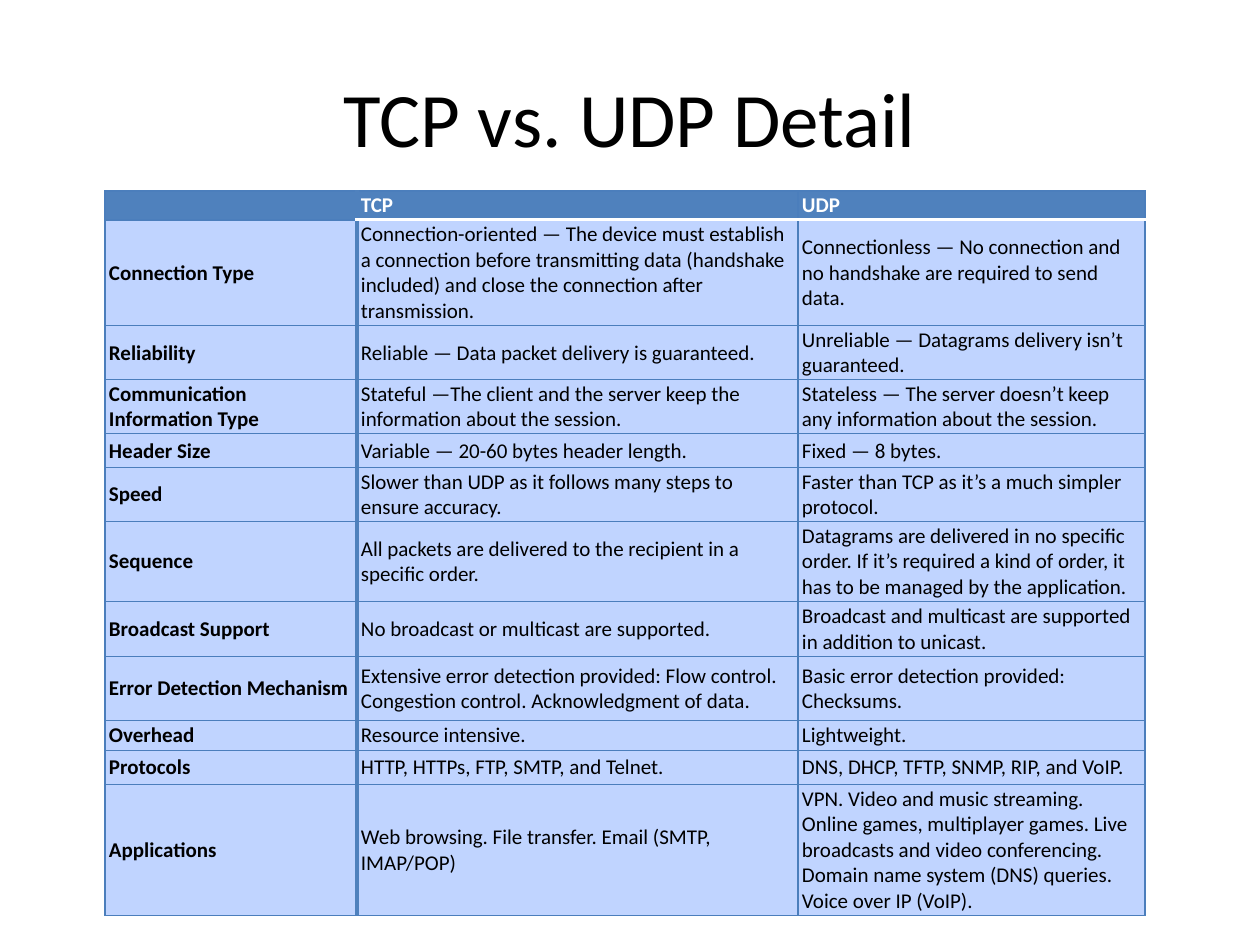
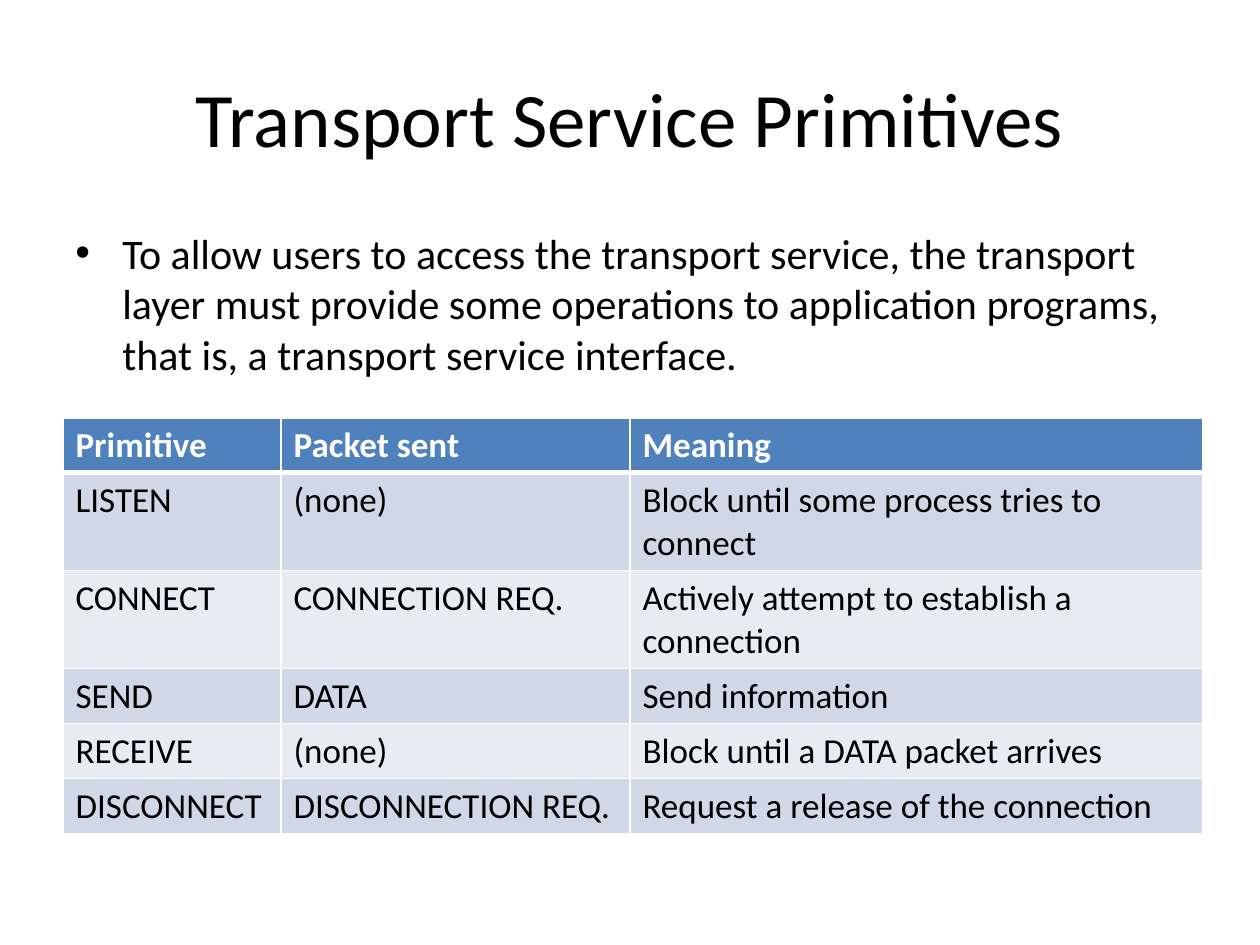
from lxml.etree import SubElement
from pptx import Presentation
from pptx.dml.color import RGBColor
from pptx.enum.text import MSO_ANCHOR, PP_ALIGN
from pptx.oxml.ns import qn
from pptx.util import Pt

PX = 914400 / 126
FONT = "Calibri"
COLORS = {
    "text": "000000",
    "white": "FFFFFF",
    "header": "4F81BD",
    "grid": "4B7EBC",
    "detail": "C0D4FF",
    "band_dark": "D0D7E7",
    "band_light": "E9EBF3",
}

DETAIL_TITLE = "TCP vs. UDP Detail"
DETAIL_ROWS = [
    ("", "TCP", "UDP"),
    ("Connection Type",
     "Connection-oriented — The device must establish a connection before transmitting data "
     "(handshake included) and close the connection after transmission.",
     "Connectionless — No connection and no handshake are required to send data."),
    ("Reliability",
     "Reliable — Data packet delivery is guaranteed.",
     "Unreliable — Datagrams delivery isn’t guaranteed."),
    ("Communication Information Type",
     "Stateful —The client and the server keep the information about the session.",
     "Stateless — The server doesn’t keep any information about the session."),
    ("Header Size",
     "Variable — 20-60 bytes header length.",
     "Fixed — 8 bytes."),
    ("Speed",
     "Slower than UDP as it follows many steps to ensure accuracy.",
     "Faster than TCP as it’s a much simpler protocol."),
    ("Sequence",
     "All packets are delivered to the recipient in a specific order.",
     "Datagrams are delivered in no specific order. If it’s required a kind of order, "
     "it has to be managed by the application."),
    ("Broadcast Support",
     "No broadcast or multicast are supported.",
     "Broadcast and multicast are supported in addition to unicast."),
    ("Error Detection Mechanism",
     "Extensive error detection provided: Flow control. Congestion control. "
     "Acknowledgment of data.",
     "Basic error detection provided: Checksums."),
    ("Overhead", "Resource intensive.", "Lightweight."),
    ("Protocols",
     "HTTP, HTTPs, FTP, SMTP, and Telnet.",
     "DNS, DHCP, TFTP, SNMP, RIP, and VoIP."),
    ("Applications",
     "Web browsing. File transfer. Email (SMTP, IMAP/POP)",
     "VPN. Video and music streaming. Online games, multiplayer games. Live broadcasts and "
     "video conferencing. Domain name system (DNS) queries. Voice over IP (VoIP)."),
]
DETAIL_COLUMNS = [252, 441, 347]
DETAIL_HEIGHTS = [29, 106, 54, 54, 34, 54, 80, 55, 64, 30, 34, 131]

PRIMITIVES_TITLE = "Transport Service Primitives"
PRIMITIVES_INTRO = (
    "To allow users to access the transport service, the transport layer must provide some "
    "operations to application programs, that is, a transport service interface."
)
PRIMITIVES_ROWS = [
    ("Primitive", "Packet sent", "Meaning"),
    ("LISTEN", "(none)", "Block until some process tries to connect"),
    ("CONNECT", "CONNECTION REQ.", "Actively attempt to establish a connection"),
    ("SEND", "DATA", "Send information"),
    ("RECEIVE", "(none)", "Block until a DATA packet arrives"),
    ("DISCONNECT", "DISCONNECTION REQ.", "Request a release of the connection"),
]
PRIMITIVES_COLUMNS = [218, 349, 573]
PRIMITIVES_HEIGHTS = [54, 98, 98, 55, 55, 55]


def px(length):
    return round(length * PX)


def color(name):
    return RGBColor.from_string(COLORS[name])


def add_text(paragraph, text, size, color_name="text", bold=False):
    run = paragraph.add_run()
    run.text = text
    run.font.name = FONT
    run.font.size = Pt(size)
    run.font.bold = bold
    run.font.color.rgb = color(color_name)


def add_text_frame(slide, left, top, width, height):
    frame = slide.shapes.add_textbox(px(left), px(top), px(width), px(height)).text_frame
    frame.word_wrap = True
    return frame


def add_titled_slide(presentation, title):
    slide = presentation.slides.add_slide(presentation.slide_layouts[6])
    frame = add_text_frame(slide, 63, 38, 1134, 158)
    frame.vertical_anchor = MSO_ANCHOR.MIDDLE
    frame.paragraphs[0].alignment = PP_ALIGN.CENTER
    add_text(frame.paragraphs[0], title, 44)
    return slide


def add_bullet(frame, text):
    paragraph = frame.paragraphs[0]
    properties = paragraph._p.get_or_add_pPr()
    properties.set("marL", str(px(47)))
    properties.set("indent", str(-px(47)))
    SubElement(properties, qn("a:buFont"), typeface="Arial")
    SubElement(properties, qn("a:buChar"), char="•")
    add_text(paragraph, text, 24)


def set_borders(cell, borders):
    """Draw (colour name, points) lines on the left, right, top and bottom, in that order."""
    properties = cell._tc.get_or_add_tcPr()
    for side, (color_name, points) in zip("LRTB", borders):
        line = SubElement(properties, qn(f"a:ln{side}"), w=str(Pt(points)))
        fill = SubElement(line, qn("a:solidFill"))
        SubElement(fill, qn("a:srgbClr"), val=COLORS[color_name])


def add_table(slide, left, top, columns, heights, rows, size, style_cell):
    """style_cell(row, column) gives fill, text colour, bold and the four borders."""
    table = slide.shapes.add_table(
        len(rows), len(columns), px(left), px(top), px(sum(columns)), px(sum(heights))
    ).table
    table.horz_banding = False
    for column, width in zip(table.columns, columns):
        column.width = px(width)
    for row_index, (row, height, texts) in enumerate(zip(table.rows, heights, rows)):
        row.height = px(height)
        for column_index, (cell, text) in enumerate(zip(row.cells, texts)):
            fill, text_color, bold, borders = style_cell(row_index, column_index)
            set_borders(cell, borders)
            cell.fill.solid()
            cell.fill.fore_color.rgb = color(fill)
            paragraph = cell.text_frame.paragraphs[0]
            if text:
                add_text(paragraph, text, size, text_color, bold)
            else:
                SubElement(paragraph._p, qn("a:endParaRPr"), sz=str(size * 100))
    return table


def style_detail(row, column):
    grid, thick, white = ("grid", 0.75), ("header", 2), ("white", 2)
    left = thick if column == 1 else grid
    right = thick if column == 0 else grid
    top = white if row == 1 and column else grid
    bottom = white if row == 0 and column else grid
    fill, text_color = ("detail", "text") if row else ("header", "white")
    return fill, text_color, row == 0 or column == 0, (left, right, top, bottom)


def style_primitives(row, column):
    thin, thick = ("white", 1), ("white", 3)
    top = thick if row == 1 else thin
    bottom = thick if row == 0 else thin
    fill = "header" if row == 0 else ("band_light", "band_dark")[row % 2]
    return fill, "text" if row else "white", row == 0, (thin, thin, top, bottom)


def add_detail_slide(presentation):
    slide = add_titled_slide(presentation, DETAIL_TITLE)
    table = add_table(slide, 105, 191, DETAIL_COLUMNS, DETAIL_HEIGHTS, DETAIL_ROWS, 12, style_detail)
    for cell in table.iter_cells():
        cell.vertical_anchor = MSO_ANCHOR.MIDDLE
        cell.margin_left = cell.margin_right = px(4)
        cell.margin_top = cell.margin_bottom = px(1)


def add_primitives_slide(presentation):
    slide = add_titled_slide(presentation, PRIMITIVES_TITLE)
    add_bullet(add_text_frame(slide, 63, 221, 1134, 624), PRIMITIVES_INTRO)
    add_table(slide, 63, 418, PRIMITIVES_COLUMNS, PRIMITIVES_HEIGHTS, PRIMITIVES_ROWS, 20,
              style_primitives)


def main():
    presentation = Presentation()
    presentation.slide_width = px(1260)
    presentation.slide_height = px(945)
    add_detail_slide(presentation)
    add_primitives_slide(presentation)
    presentation.save("out.pptx")


if __name__ == "__main__":
    main()
